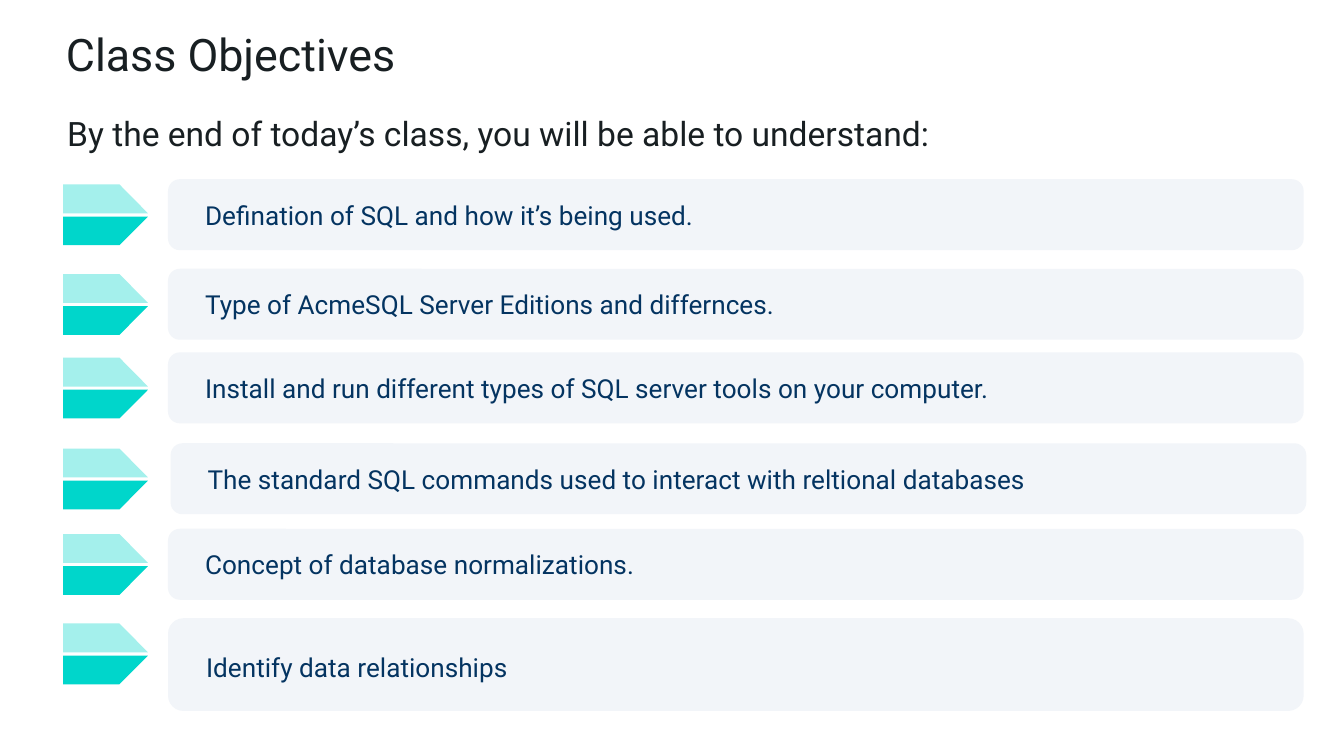
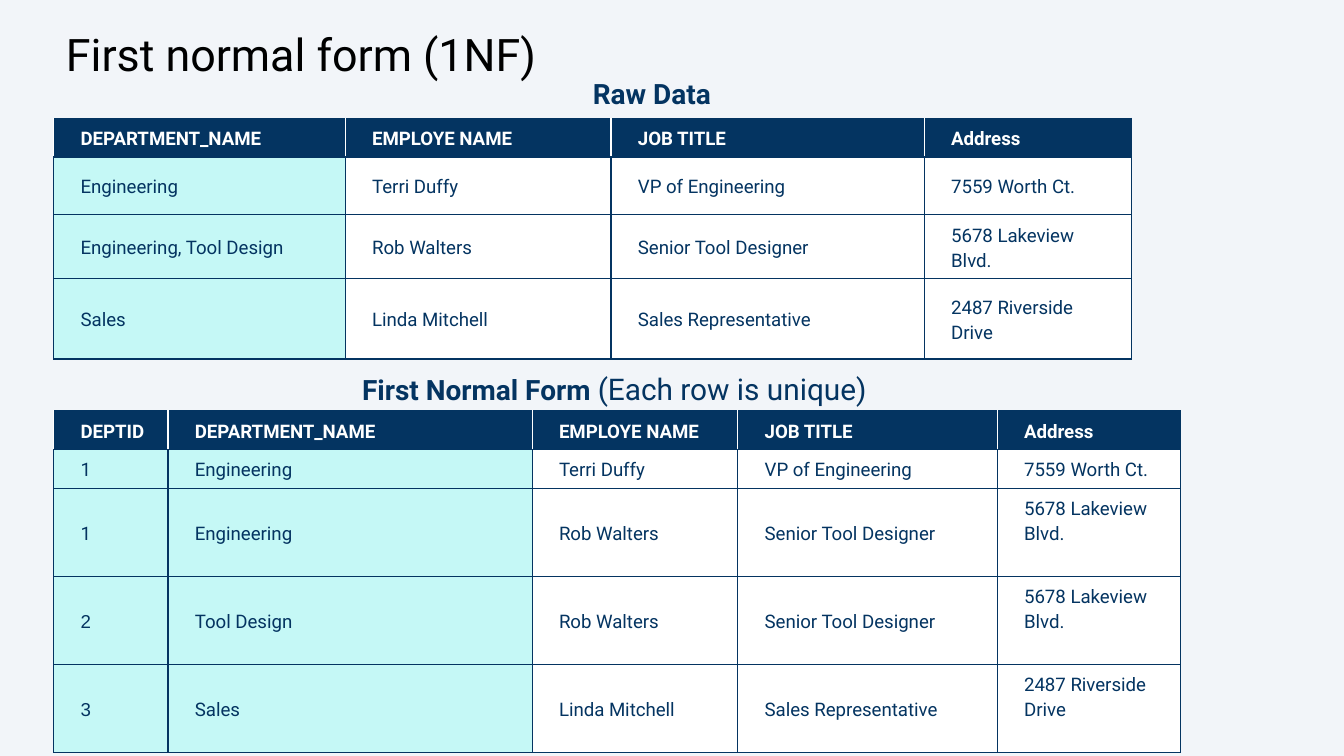
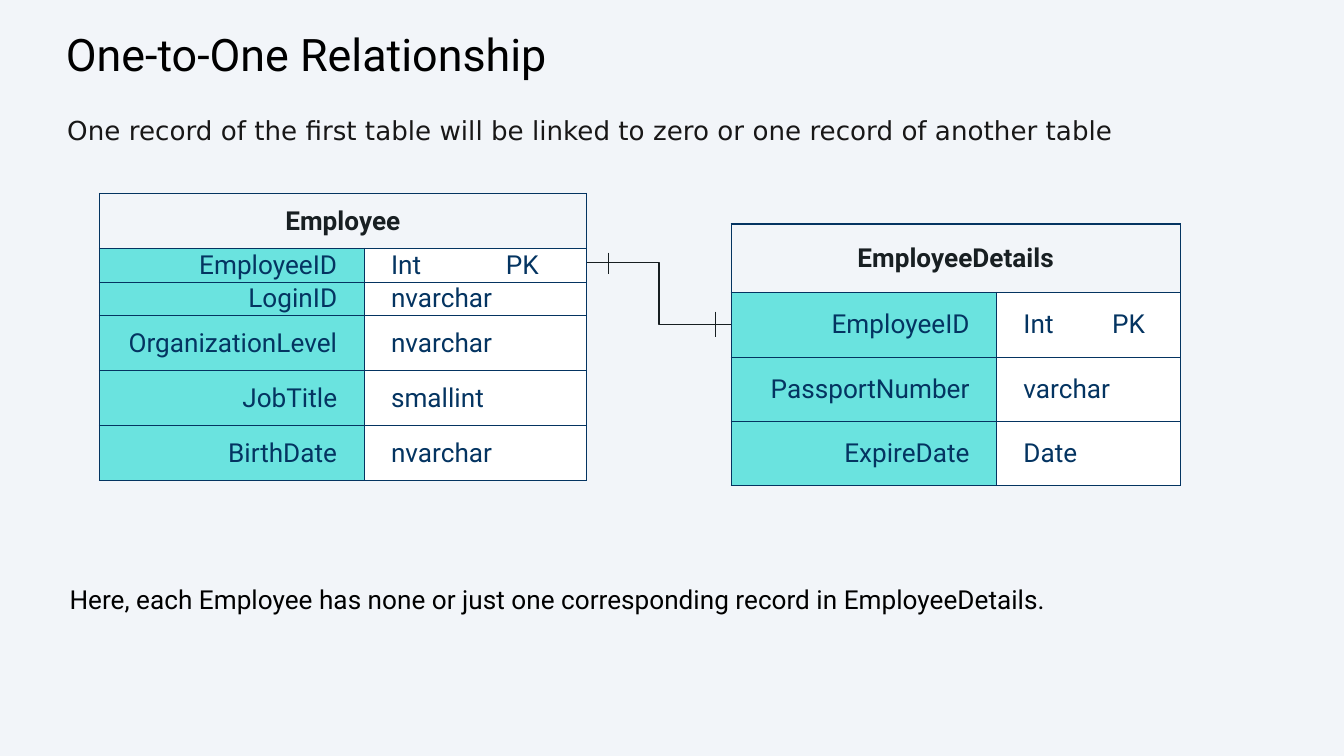
from lxml.etree import SubElement
from pptx import Presentation
from pptx.dml.color import RGBColor
from pptx.enum.shapes import MSO_CONNECTOR as CONN, MSO_SHAPE as SHAPE
from pptx.enum.text import MSO_ANCHOR as ANCHOR, MSO_AUTO_SIZE as AUTO, PP_ALIGN as ALIGN
from pptx.oxml.ns import qn
from pptx.util import Pt

COLORS = {
    "ink": "181F22", "black": "000000", "white": "FFFFFF", "mist": "F2F5F9",
    "navy": "043461", "teal": "00D6CB", "aqua": "A4F0EC", "ice": "C5F8F6",
    "note": "181717", "line": "171E21",
}
FONT = "Roboto"
LINE = 0.75


def rgb(name):
    return RGBColor.from_string(COLORS[name])


class Deck:
    def __init__(self):
        self.prs = Presentation()
        self.prs.slide_width, self.prs.slide_height = Pt(720), Pt(405)
        self.slide = None

    def new_slide(self, layout, background, title, color="black"):
        self.slide = self.prs.slides.add_slide(self.prs.slide_layouts[layout])
        fill = self.slide.background.fill
        fill.solid()
        fill.fore_color.rgb = rgb(background)
        sp = self.slide.shapes.title
        self.place(sp, -0.72, 0, 722, 42)
        self.set_text(sp.text_frame, [(title, 24, color, False)], (36, 14.4, 21.6, 7.2))

    def place(self, sp, x, y, w, h):
        sp.left, sp.top, sp.width, sp.height = Pt(x), Pt(y), Pt(w), Pt(h)

    def add_runs(self, p, runs, font=FONT, align=ALIGN.LEFT, spacing=1.0):
        p.alignment, p.line_spacing, p.space_before = align, spacing, Pt(0)
        for text, size, color, bold in runs:
            r = p.add_run()
            r.text = text
            r.font.name, r.font.size, r.font.bold = font, Pt(size), bold
            r.font.color.rgb = rgb(color)

    def set_text(self, tf, runs, insets, anchor=ANCHOR.TOP, **style):
        tf.word_wrap, tf.auto_size, tf.vertical_anchor = True, AUTO.NONE, anchor
        tf.margin_left, tf.margin_top, tf.margin_right, tf.margin_bottom = map(Pt, insets)
        self.add_runs(tf.paragraphs[0], runs, **style)

    def subtitle(self, box, text, size, color, font=FONT):
        sp = self.slide.placeholders[1]
        self.place(sp, *box)
        self.set_text(sp.text_frame, [(text, size, color, False)], (36, 7.2, 36, 0), font=font)

    def text(self, box, runs, insets, **style):
        sp = self.slide.shapes.add_textbox(*map(Pt, box))
        self.set_text(sp.text_frame, runs, insets, **style)

    def paint(self, sp, color):
        sp.shadow.inherit = False
        sp.fill.solid()
        sp.fill.fore_color.rgb = rgb(color)
        sp.line.fill.background()

    def card(self, box, text, spacing):
        sp = self.slide.shapes.add_shape(SHAPE.ROUNDED_RECTANGLE, *map(Pt, box))
        self.paint(sp, "mist")
        self.set_text(sp.text_frame, [(text, 14, "navy", False)], (18, 7.2, 7.2, 7.2),
                      ANCHOR.MIDDLE, spacing=spacing)

    def half_arrow(self, x, base, tip, color):
        points = [(x, base), (x + 45.5, base), (x + 30.2, tip), (x, tip)]
        points = [(Pt(px), Pt(py)) for px, py in points]
        builder = self.slide.shapes.build_freeform(*points[0])
        builder.add_line_segments(points[1:], close=True)
        self.paint(builder.convert_to_shape(), color)

    def connector(self, kind, x1, y1, x2, y2):
        cn = self.slide.shapes.add_connector(kind, Pt(x1), Pt(y1), Pt(x2), Pt(y2))
        cn.line.color.rgb = rgb("line")
        cn.line.width = Pt(LINE)
        SubElement(cn._element.spPr, qn("a:effectLst"))

    def cell(self, cell, text, size, color, bold, fill, insets, sides=None, alpha=None,
             tab=None, **style):
        tc_pr = cell._tc.get_or_add_tcPr()
        for side in "LRTB":
            ln = SubElement(tc_pr, qn(f"a:ln{side}"), w=str(Pt(LINE)))
            solid = SubElement(ln, qn("a:solidFill"))
            SubElement(solid, qn("a:srgbClr"), val=COLORS[(sides or {}).get(side, "navy")])
        if fill:
            cell.fill.solid()
            cell.fill.fore_color.rgb = rgb(fill)
        else:
            cell.fill.background()
        if alpha:
            clr = tc_pr.find(qn("a:solidFill")).find(qn("a:srgbClr"))
            SubElement(clr, qn("a:alpha"), val=str(alpha * 1000))
        cell.vertical_anchor = ANCHOR.MIDDLE
        cell.margin_left, cell.margin_top, cell.margin_right, cell.margin_bottom = map(Pt, insets)
        p = cell.text_frame.paragraphs[0]
        if tab:
            tabs = SubElement(p._p.get_or_add_pPr(), qn("a:tabLst"))
            SubElement(tabs, qn("a:tab"), pos=str(Pt(tab)), algn="l")
        self.add_runs(p, [(text, size, color, bold)], **style)

    def table(self, x, y, widths, heights):
        shape = self.slide.shapes.add_table(len(heights), len(widths), Pt(x), Pt(y),
                                            Pt(sum(widths)), Pt(sum(heights)))
        tbl = shape.table
        tbl.first_row = tbl.horz_banding = False
        for col, w in zip(tbl.columns, widths):
            col.width = Pt(w)
        for row, h in zip(tbl.rows, heights):
            row.height = Pt(h)
        return tbl

    def data_table(self, x, y, widths, heights, rows, tinted):
        tbl = self.table(x, y, widths, heights)
        last = len(widths) - 1
        for i, row in enumerate(rows):
            for j, text in enumerate(row):
                head = i == 0
                sides = {"L": "white", "R": "navy" if j == last else "white"} if head else None
                fill = "navy" if head else "ice" if j < tinted else "white"
                self.cell(tbl.cell(i, j), text, 10, "white" if head else "navy", head, fill,
                          (14.4, 3.6, 7.2, 3.6), sides, spacing=1.15)
        return tbl

    def entity(self, x, y, widths, heights, name, fields, tab):
        tbl = self.table(x, y, widths, heights)
        insets = (14.4, 0.72, 14.4, 0.72)
        tbl.cell(0, 0).merge(tbl.cell(0, 1))
        self.cell(tbl.cell(0, 0), name, 14, "ink", True, None, insets, align=ALIGN.CENTER)
        self.cell(tbl.cell(0, 1), "", 14, "ink", True, None, insets)
        for i, (field, kind) in enumerate(fields, 1):
            self.cell(tbl.cell(i, 0), field, 14, "navy", False, "teal", insets, alpha=56,
                      align=ALIGN.RIGHT)
            self.cell(tbl.cell(i, 1), kind, 14, "navy", False, "white", insets,
                      tab=tab if "\t" in kind else None)


def objectives(deck):
    deck.new_slide(0, "white", "Class Objectives", "ink")
    deck.subtitle((0, 53.3, 720, 29), "By the end of today’s class, you will be able to understand:",
                  18, "ink")
    goals = [
        (90, 96, 38, 1.0, "Defination of SQL and how it’s being used."),
        (90, 144, 38, 1.0, "Type of AcmeSQL Server Editions and differnces."),
        (90, 188.8, 38, 1.0, "Install and run different types of SQL server tools on your computer."),
        (91.4, 237.5, 38, 1.0, "The standard SQL commands used to interact with reltional databases"),
        (90, 283.3, 38, 1.0, "Concept of database normalizations."),
        (90, 331.2, 49.7, 1.15, "Identify data relationships"),
    ]
    for x, y, h, spacing, goal in goals:
        deck.card((x, y, 608.4, h), goal, spacing)
        deck.half_arrow(33.8, y + 18.3, y + 2.8, "aqua")
        deck.half_arrow(33.8, y + 20, y + 35.4, "teal")


def first_normal_form(deck):
    deck.new_slide(5, "mist", "First normal form (1NF)")
    heads = ["DEPARTMENT_NAME", "EMPLOYE NAME", "JOB TITLE", "Address"]
    terri = ["Terri Duffy", "VP of Engineering", "7559 Worth Ct."]
    rob = ["Rob Walters", "Senior Tool Designer", "5678 Lakeview Blvd."]
    linda = ["Linda Mitchell", "Sales Representative", "2487 Riverside Drive"]
    deck.data_table(28.8, 63.5, [156.2, 142.4, 167.8, 111], [20.5, 31, 33.9, 43.2], [
        heads,
        ["Engineering", *terri],
        ["Engineering, Tool Design", *rob],
        ["Sales", *linda],
    ], 1)
    deck.text((216, 33.8, 164.9, 37.4), [("Raw Data", 15, "navy", True)], (36, 7.2, 0, 0),
              align=ALIGN.RIGHT)
    tbl = deck.data_table(28.8, 220.2, [61.2, 195.1, 110.2, 139, 98], [20.5, 20.8] + [47.2] * 3, [
        ["DEPTID", *heads],
        ["1", "Engineering", *terri],
        ["1", "Engineering", *rob],
        ["2", "Tool Design", *rob],
        ["3", "Sales", *linda],
    ], 2)
    for i in (2, 3, 4):
        tbl.cell(i, 4).vertical_anchor = ANCHOR.TOP
    for i in (3, 4):
        tbl.cell(i, 0).text_frame.paragraphs[0].runs[0].font.name = "Arial"
    deck.text((133.2, 191.5, 339.1, 31), [("First Normal Form ", 15, "navy", True),
                                          ("(Each row is unique)", 16, "navy", False)],
              (36, 7.2, 8, 0), align=ALIGN.RIGHT)


def one_to_one(deck):
    deck.new_slide(0, "mist", "One-to-One Relationship")
    deck.subtitle((0, 54, 722, 54),
                  "One record of the first table will be linked to zero or one record of another table",
                  14, "note", "DejaVu Sans")
    deck.entity(53.3, 103.7, [141.8, 119], [29.5, 18, 18, 29.5, 29.5, 29.5], "Employee", [
        ("EmployeeID", "Int\tPK"),
        ("LoginID", "nvarchar"),
        ("OrganizationLevel", "nvarchar"),
        ("JobTitle", "smallint"),
        ("BirthDate", "nvarchar"),
    ], 61.5)
    deck.text((30.2, 272.2, 645, 132.8),
              [("Here, each Employee has none or just one corresponding record in EmployeeDetails.",
                14, "black", False)], (7.2, 40.5, 7.2, 7.2))
    deck.entity(391.7, 120, [142.2, 98.4], [36.7, 34.8, 34.4, 34.4], "EmployeeDetails", [
        ("EmployeeID", "Int\tPK"),
        ("PassportNumber", "varchar"),
        ("ExpireDate", "Date"),
    ], 47.5)
    deck.connector(CONN.ELBOW, 314.5, 140.6, 391.7, 174)
    deck.connector(CONN.STRAIGHT, 326, 135.4, 326, 146.9)
    deck.connector(CONN.STRAIGHT, 383.2, 167, 383.2, 180.7)


def main():
    deck = Deck()
    objectives(deck)
    first_normal_form(deck)
    one_to_one(deck)
    deck.prs.save("out.pptx")


if __name__ == "__main__":
    main()
